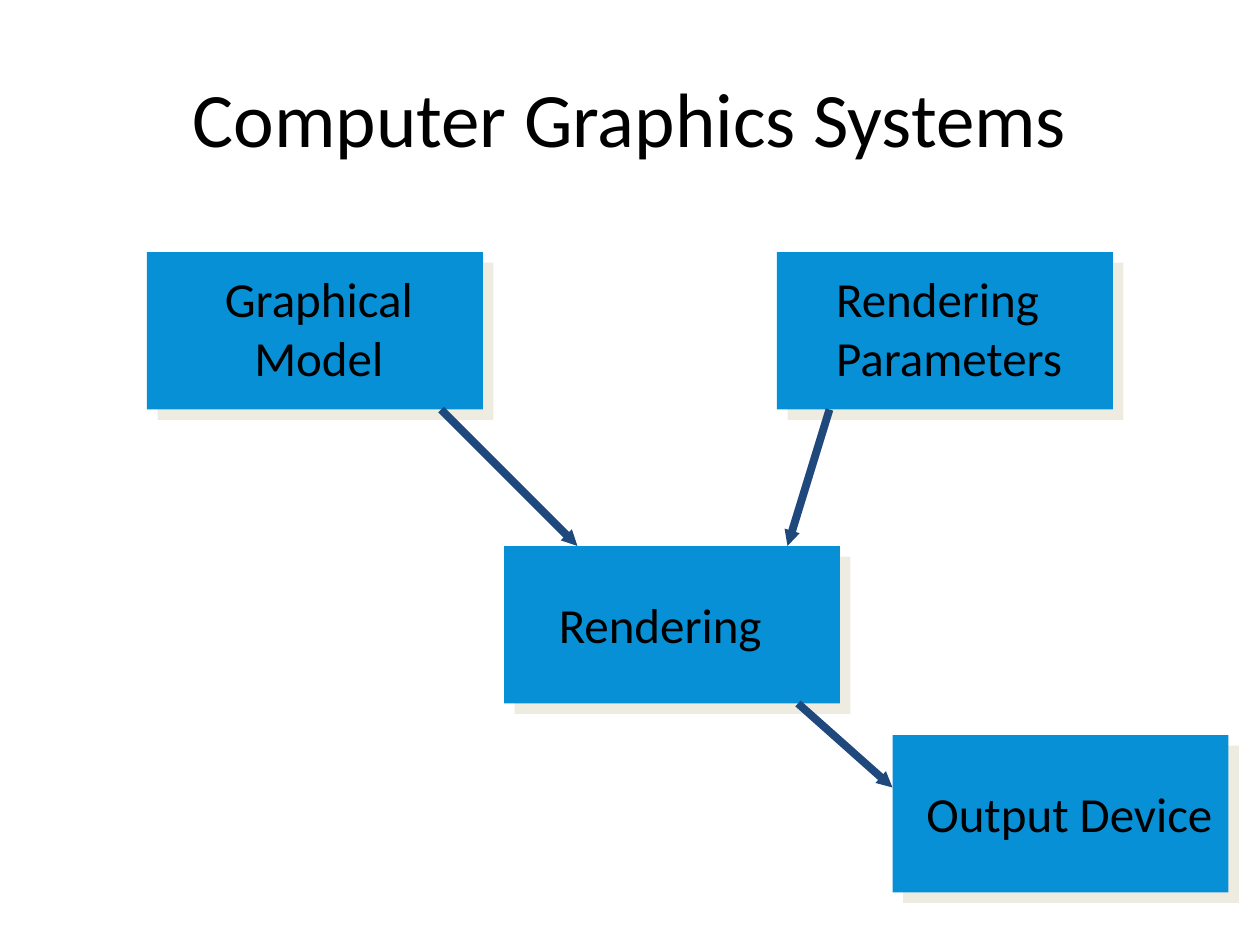
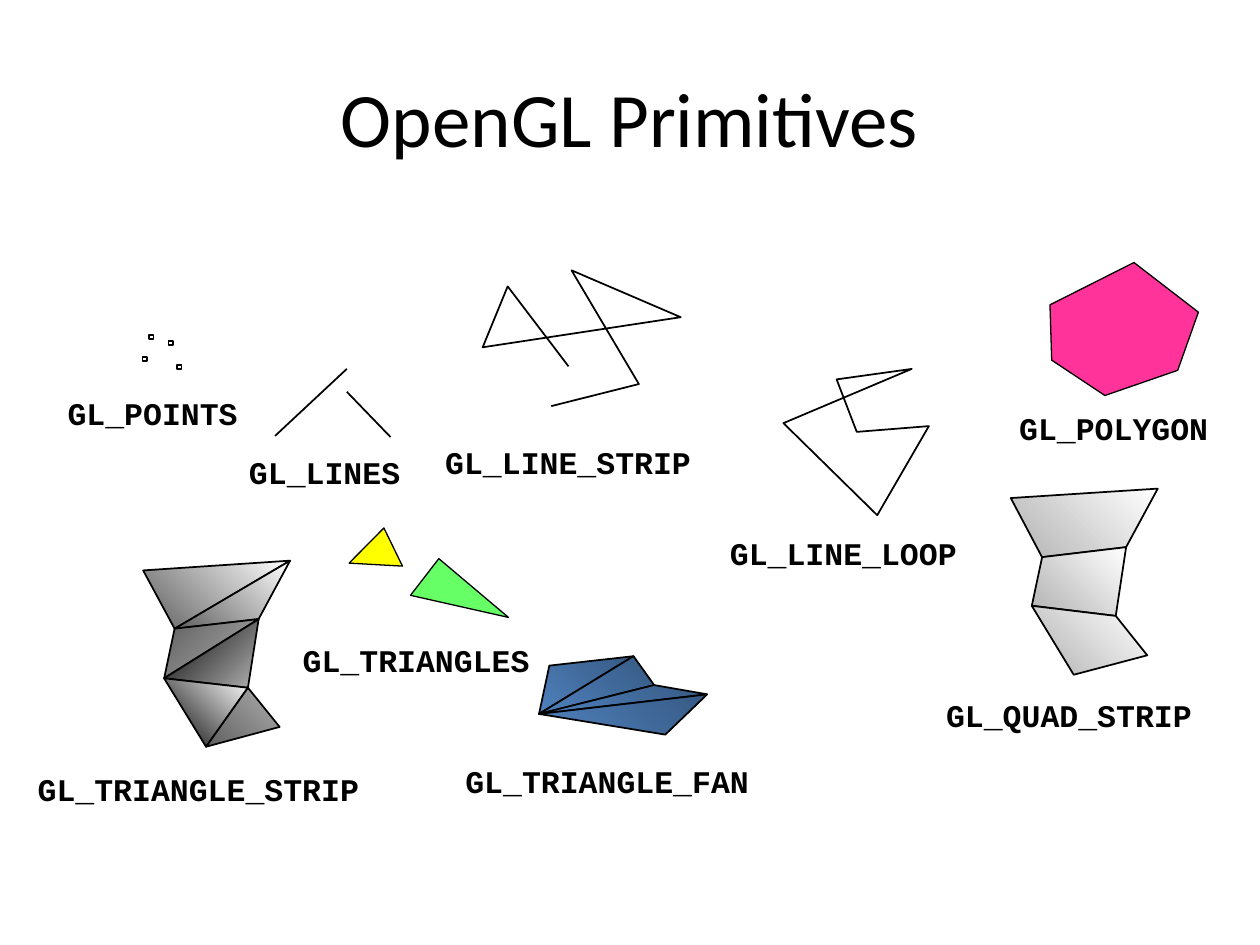
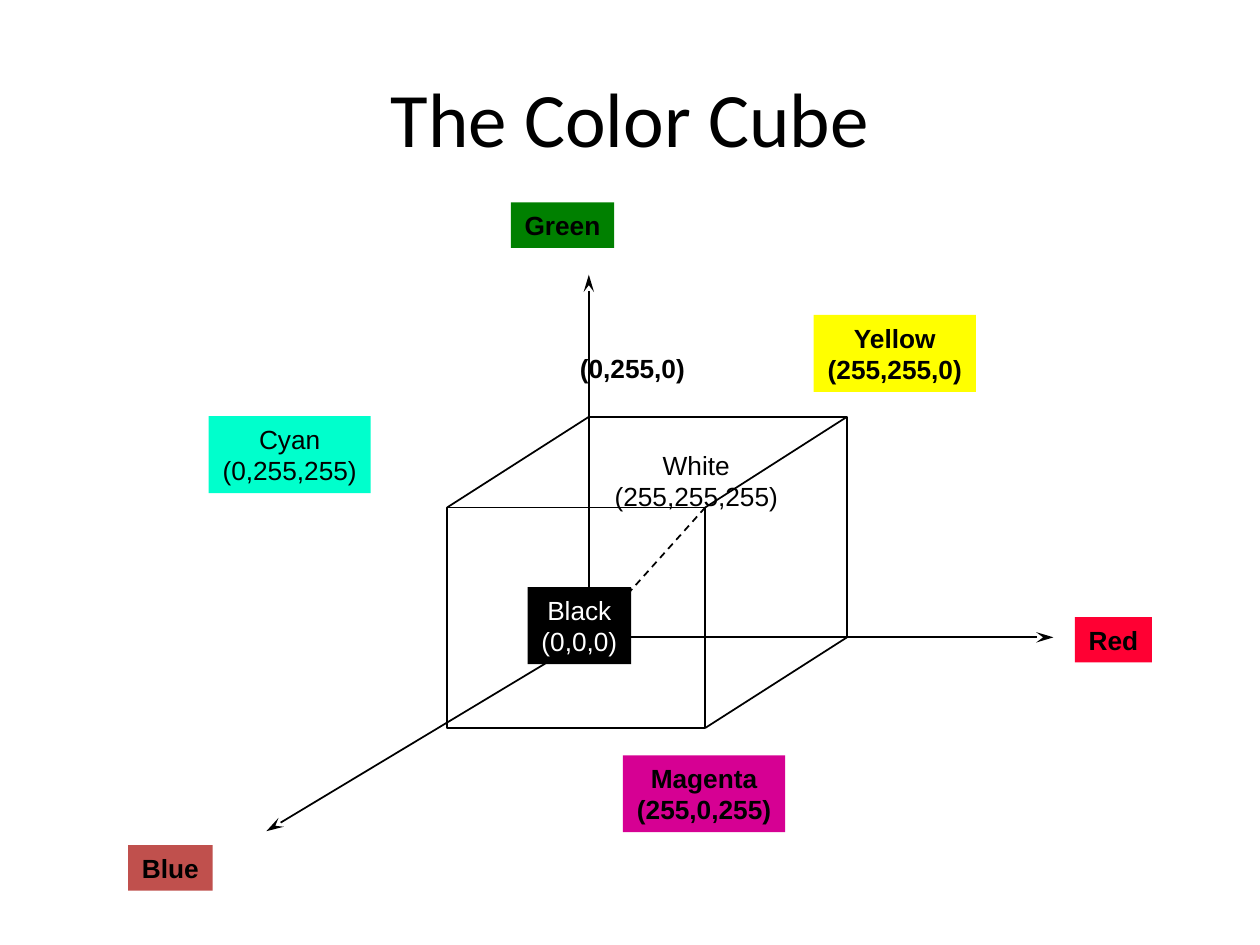
from dataclasses import dataclass

from lxml import etree
from pptx import Presentation
from pptx.dml.color import RGBColor
from pptx.enum.dml import MSO_LINE
from pptx.enum.shapes import MSO_CONNECTOR, MSO_SHAPE
from pptx.enum.text import MSO_ANCHOR, MSO_AUTO_SIZE, PP_ALIGN
from pptx.oxml.ns import qn
from pptx.util import Pt

RECTANGLE = MSO_SHAPE.RECTANGLE
STRAIGHT = MSO_CONNECTOR.STRAIGHT
DASH = MSO_LINE.DASH
TOP, MIDDLE = MSO_ANCHOR.TOP, MSO_ANCHOR.MIDDLE
LEFT, CENTER = PP_ALIGN.LEFT, PP_ALIGN.CENTER
FIT_SHAPE, FIT_NONE = MSO_AUTO_SIZE.SHAPE_TO_FIT_TEXT, MSO_AUTO_SIZE.NONE

# Arrowheads: type, width, length
FLOW_ARROW = {"type": "triangle", "w": "sm", "len": "sm"}
AXIS_ARROW = {"type": "stealth", "w": "med", "len": "lg"}


@dataclass(frozen=True)
class Theme:
    # Colours
    black: str = "000000"
    white: str = "FFFFFF"
    box: str = "0790D5"
    shadow: str = "EEECE1"
    arrow: str = "1F497D"
    # Fonts
    body_font: str = "Calibri"
    code_font: str = "Courier New"
    cube_font: str = "Arial"
    # Type sizes
    title_size: float = 44
    box_size: float = 28
    code_size: float = 18
    cube_size: float = 15
    # Line widths
    thin: float = 0.75
    line: float = 1
    thick: float = 4.5


theme = Theme()


def add_text(slide, text, box, font, size, color=theme.black, bold=False, align=LEFT,
             anchor=TOP, margins=(7.2, 3.6), fill=None, fit=FIT_SHAPE):
    shape = slide.shapes.add_textbox(*map(Pt, box))
    if fill:
        shape.fill.solid()
        shape.fill.fore_color.rgb = RGBColor.from_string(fill)
    frame = shape.text_frame
    frame.text = text
    frame.word_wrap = False
    frame.auto_size = fit
    frame.vertical_anchor = anchor
    frame.margin_left = frame.margin_right = Pt(margins[0])
    frame.margin_top = frame.margin_bottom = Pt(margins[1])
    for paragraph in frame.paragraphs:
        paragraph.alignment = align
        paragraph.font.name = font
        paragraph.font.size = Pt(size)
        paragraph.font.bold = bold
        paragraph.font.color.rgb = RGBColor.from_string(color)
    return shape


def add_line(slide, start, end, color=theme.black, width=theme.line, arrow=None, dash=None):
    connector = slide.shapes.add_connector(STRAIGHT, *map(Pt, (*start, *end)))
    connector.line.color.rgb = RGBColor.from_string(color)
    connector.line.width = Pt(width)
    if dash:
        connector.line.dash_style = dash
    properties = connector._element.spPr
    if arrow:
        etree.SubElement(properties.find(qn("a:ln")), qn("a:tailEnd"), arrow)
    etree.SubElement(properties, qn("a:effectLst"))


presentation = Presentation()
presentation.slide_width = Pt(720)
presentation.slide_height = Pt(540)

# Slides and their titles
slides = []
for title in ("Computer Graphics Systems", "OpenGL Primitives", "The Color Cube"):
    slide = presentation.slides.add_slide(presentation.slide_layouts[6])
    add_text(slide, title, (36, 21.6, 648, 90), theme.body_font, theme.title_size,
             align=CENTER, anchor=MIDDLE, fit=FIT_NONE)
    slides.append(slide)
systems_slide, primitives_slide, cube_slide = slides

# Systems: boxes (box corner, text, text frame, alignment)
system_boxes = [
    ((84, 144), "Graphical\nModel", (121, 149.8, 122.4, 74.9), CENTER),
    ((444, 144), "Rendering\nParameters", (470.7, 149.8, 145.4, 74.9), LEFT),
    ((288, 312), "Rendering", (312.2, 336.2, 130.3, 41), LEFT),
    ((510, 420), "Output Device", (522.3, 444.2, 177.8, 41), LEFT),
]
for corner, text, text_box, align in system_boxes:
    shape = systems_slide.shapes.add_shape(RECTANGLE, *map(Pt, (*corner, 192, 90)))
    shape.fill.solid()
    shape.fill.fore_color.rgb = RGBColor.from_string(theme.box)
    shape.line.fill.background()
    shape.shadow.inherit = False
    effects = shape._element.spPr.find(qn("a:effectLst"))
    shadow = etree.SubElement(effects, qn("a:outerShdw"), blurRad="0",
                              dist=str(int(Pt(8.5))), dir="2700000",
                              algn="ctr", rotWithShape="0")
    etree.SubElement(shadow, qn("a:srgbClr"), val=theme.shadow)
    add_text(systems_slide, text, text_box, theme.body_font, theme.box_size, align=align)

# Systems: arrows
for start, end in [((252, 234), (330, 312)), ((474, 234), (450, 312)),
                   ((456, 402), (510, 450))]:
    add_line(systems_slide, start, end, theme.arrow, theme.thick, FLOW_ARROW)

# Primitives: outlines as (points, fill, line width, closed);
# a fill is None, a colour or (first colour, last colour, angle)
polygon = [(600, 174.2), (648, 150), (684.8, 178.4), (673, 211.6), (631.4, 226), (601, 205.8)]
yellow_triangle = [(219.4, 301.7), (199.5, 321.8), (230, 323.5)]
green_triangle = [(250.8, 319.2), (234.6, 340.2), (290.6, 352.8)]
line_loop = [(489.6, 246.8), (478.1, 216.8), (521, 210.8), (447.7, 241.8), (501.3, 294.4),
             (530.8, 243.5)]
line_strip = [(324.9, 209.4), (290.1, 163.7), (275.8, 198.5), (389, 181.3), (326.6, 154.5),
              (365.1, 219.5), (315, 232.1)]
quad_strip = [(577.6, 284.6), (661.6, 279.2), (595.5, 318.4), (643.5, 312.7),
              (589.6, 346.2), (637.6, 352), (613.6, 385.6), (655.6, 374.5)]
triangle_strip = [(81.8, 326), (165.8, 320.4), (99.8, 359.3), (147.8, 353.8),
                  (93.8, 387.6), (141.7, 393), (117.8, 426.7), (159.8, 415.4)]
strip_fills = [("5F5F5F", "FFFFFF", 45), ("5F5F5F", "FFFFFF", 45), ("5F5F5F", "AFAFAF", 315),
               ("000000", "B2B2B2", 315), ("000000", "FFFFFF", 45), ("5F5F5F", "AFAFAF", 45)]
fan_hub = (308, 408)
fan_rim = [(313.9, 380.4), (362, 375), (373.8, 391.5), (404.1, 396.8), (380.2, 419.8)]

outlines = [
    (polygon, "FF3399", theme.thin, True),
    (yellow_triangle, "FFFF00", theme.thin, True),
    (green_triangle, "66FF66", theme.thin, True),
    (line_loop, None, theme.line, True),
    (line_strip, None, theme.line, False),
]
for i in range(0, 6, 2):
    a, b, c, d = quad_strip[i:i + 4]
    outlines.append(([a, b, d, c], ("B2B2B2", "FFFFFF", 45), theme.line, True))
for i, fill in enumerate(strip_fills):
    outlines.append((triangle_strip[i:i + 3], fill, theme.line, True))
for rim_edge in zip(fan_rim, fan_rim[1:]):
    outlines.append(([fan_hub, *rim_edge], ("4F81BD", "375A84", 45), theme.line, True))

for points, fill, width, closed in outlines:
    first, *rest = [(Pt(x), Pt(y)) for x, y in points]
    builder = primitives_slide.shapes.build_freeform(*first)
    builder.add_line_segments(rest, close=closed)
    shape = builder.convert_to_shape()
    shape.shadow.inherit = False
    shape.line.color.rgb = RGBColor.from_string(theme.black)
    shape.line.width = Pt(width)
    if fill is None:
        shape.fill.background()
    elif isinstance(fill, str):
        shape.fill.solid()
        shape.fill.fore_color.rgb = RGBColor.from_string(fill)
    else:
        *colors, angle = fill
        shape.fill.gradient()
        shape.fill.gradient_angle = angle
        for stop, color in zip(shape.fill.gradient_stops, colors):
            stop.color.rgb = RGBColor.from_string(color)

# Primitives: points and separate lines
for corner in [(85, 191.5), (96.3, 194.9), (81.4, 204.1), (101, 208.6)]:
    shape = primitives_slide.shapes.add_shape(RECTANGLE, *map(Pt, (*corner, 2.7, 2.3)))
    shape.shadow.inherit = False
    shape.fill.solid()
    shape.fill.fore_color.rgb = RGBColor.from_string(theme.white)
    shape.line.color.rgb = RGBColor.from_string(theme.black)
    shape.line.width = Pt(theme.line)
add_line(primitives_slide, (157.2, 249.1), (198.2, 210.8))
add_line(primitives_slide, (198.2, 223.9), (223.2, 249.8))

# Primitives: names, each as wide as its characters and margins
primitive_names = [
    ("GL_POINTS", 31.5, 221.8), ("GL_LINES", 135.2, 255.6), ("GL_LINE_STRIP", 247.3, 249.5),
    ("GL_LINE_LOOP", 410, 301.7), ("GL_POLYGON", 575.3, 230),
    ("GL_TRIANGLES", 165.9, 362.5), ("GL_TRIANGLE_STRIP", 14.4, 436.3),
    ("GL_TRIANGLE_FAN", 258.8, 432), ("GL_QUAD_STRIP", 533.5, 394.3),
]
for name, left, top in primitive_names:
    shape = add_text(primitives_slide, name, (left, top, 10.8 * len(name) + 14.4, 28.8),
                     theme.code_font, theme.code_size, bold=True)
    shape.line.color.rgb = RGBColor.from_string(theme.white)
    shape.line.width = Pt(theme.thin)

# Cube: front and back faces
face_width, face_height = 147.5, 126
front_left, front_top = 255.5, 290
back_left, back_top = 336.5, 238.2
front_right, front_bottom = front_left + face_width, front_top + face_height
back_right, back_bottom = back_left + face_width, back_top + face_height
for left, top in [(front_left, front_top), (back_left, back_top)]:
    face = cube_slide.shapes.add_shape(RECTANGLE, *map(Pt, (left, top, face_width, face_height)))
    face.shadow.inherit = False
    face.fill.background()
    face.line.color.rgb = RGBColor.from_string(theme.black)
    face.line.width = Pt(theme.line)

# Cube: edges between the faces, axes and grey diagonal
origin = (back_left, back_bottom)
add_line(cube_slide, (front_left, front_top), (back_left, back_top))
add_line(cube_slide, (front_right, front_top), (back_right, back_top))
add_line(cube_slide, (front_right, front_bottom), (back_right, back_bottom))
add_line(cube_slide, origin, (152.2, 475), arrow=AXIS_ARROW)
add_line(cube_slide, (back_right, back_bottom), (602, back_bottom), arrow=AXIS_ARROW)
add_line(cube_slide, (back_left, back_top), (back_left, 157), arrow=AXIS_ARROW)
add_line(cube_slide, (front_right, front_top), origin, dash=DASH)

# Cube: corner labels (text, left, top, width, fill, text colour, bold)
corner_labels = [
    ("Green", 291.9, 115.7, 59, "008000", theme.black, True),
    ("Red", 614.3, 352.6, 44, "FF0033", theme.black, True),
    ("Blue", 73.2, 482.9, 48.4, "C0504D", theme.black, True),
    ("(0,255,0)", 323.5, 197.3, 75.8, None, theme.black, True),
    ("Yellow\n(255,255,0)", 465, 180, 92.7, "FFFF00", theme.black, True),
    ("Magenta\n(255,0,255)", 356, 431.6, 92.7, "D60093", theme.black, True),
    ("Cyan\n(0,255,255)", 119.2, 237.8, 92.7, "00FFCC", theme.black, False),
    ("White\n(255,255,255)", 343.2, 252.6, 109.4, None, theme.black, False),
    ("Black\n(0,0,0)", 301.5, 335.5, 59.2, theme.black, theme.white, False),
]
for text, left, top, width, fill, color, bold in corner_labels:
    height = 44 if "\n" in text else 26
    add_text(cube_slide, text, (left, top, width, height), theme.cube_font, theme.cube_size,
             color, bold, CENTER, MIDDLE, (7.5, 4), fill)

presentation.save("out.pptx")
